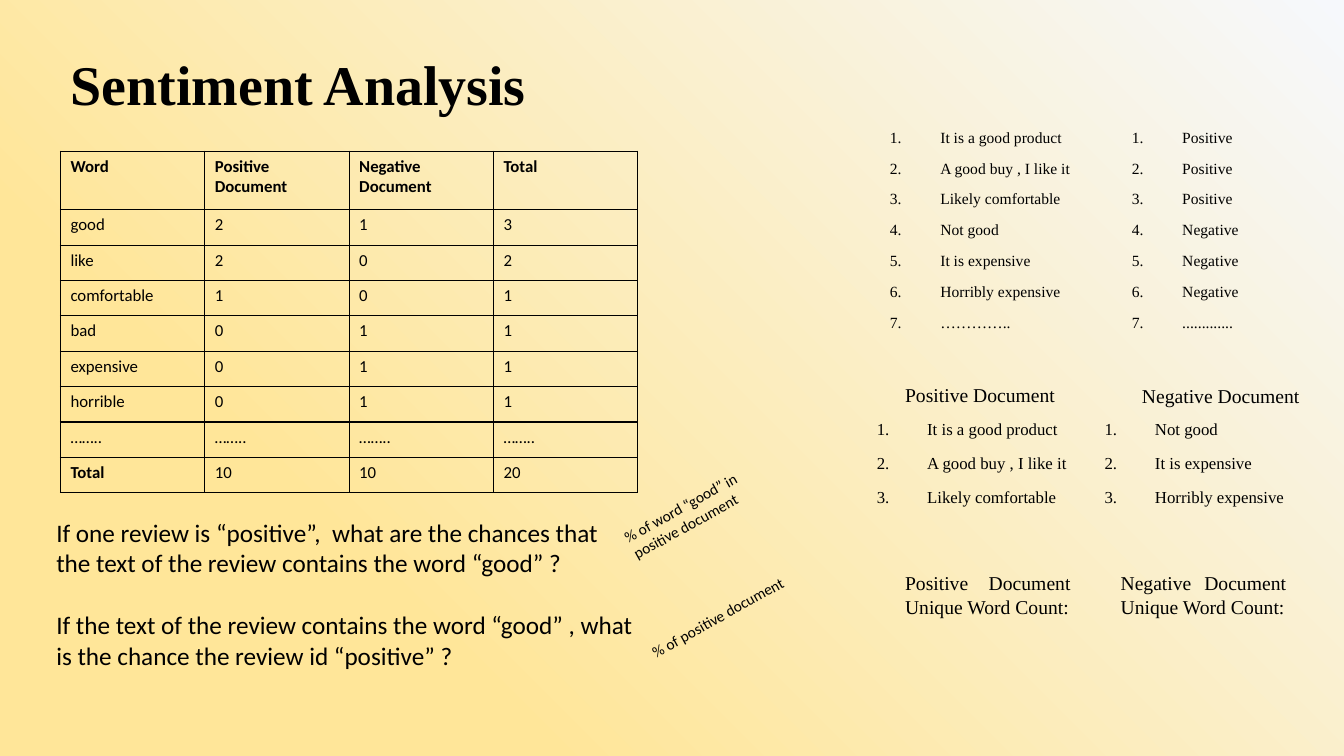
from lxml.etree import SubElement
from pptx import Presentation
from pptx.dml.color import RGBColor
from pptx.enum.text import MSO_ANCHOR, PP_ALIGN
from pptx.oxml import parse_xml
from pptx.oxml.ns import nsdecls, qn
from pptx.util import Pt

BLACK = RGBColor(0x00, 0x00, 0x00)
PALE_BLUE = RGBColor(0xF6, 0xF8, 0xFC)
YELLOW = RGBColor(0xFF, 0xE6, 0x99)
SERIF = "Times New Roman"
SANS = "Calibri"


class SlideBuilder:
    """Holds the text colour and the current slide."""

    def __init__(self, slide, color):
        self.slide = slide
        self.color = color

    def background(self, start, end):
        fill = self.slide.background.fill
        fill.gradient()
        fill.gradient_angle = 225
        for stop, color, position in zip(fill.gradient_stops, (start, end), (0, 0.74)):
            stop.color.rgb = color
            stop.position = position

    def run(self, paragraph, text, size, font, bold=False):
        run = paragraph.add_run()
        run.text = text
        run.font.size = Pt(size)
        run.font.name = font
        run.font.bold = bold
        run.font.color.rgb = self.color

    def frame(self, left, top, width, height, rotation=0):
        shape = self.slide.shapes.add_textbox(Pt(left), Pt(top), Pt(width), Pt(height))
        shape.rotation = rotation
        shape.text_frame.word_wrap = True
        return shape.text_frame

    def title(self, text, left, top, width, height):
        frame = self.frame(left, top, width, height)
        frame.vertical_anchor = MSO_ANCHOR.MIDDLE
        frame.paragraphs[0].line_spacing = 0.9
        self.run(frame.paragraphs[0], text, 40, SERIF, bold=True)

    def text(self, text, box, size, font, align=PP_ALIGN.LEFT, rotation=0):
        paragraph = self.frame(*box, rotation).paragraphs[0]
        paragraph.alignment = align
        self.run(paragraph, text, size, font)

    def numbered_list(self, items, box, size, line_spacing):
        frame = self.frame(*box)
        for index, item in enumerate(items):
            paragraph = frame.add_paragraph() if index else frame.paragraphs[0]
            properties = paragraph._p.get_or_add_pPr()
            properties.set("marL", str(Pt(36)))
            properties.set("indent", str(Pt(-36)))
            SubElement(properties, qn("a:buFont"), typeface="+mj-lt")
            SubElement(properties, qn("a:buAutoNum"), type="arabicPeriod")
            paragraph.alignment = PP_ALIGN.JUSTIFY
            paragraph.line_spacing = line_spacing
            if index:
                paragraph.space_before = Pt(10)
            self.run(paragraph, item, size, SERIF)

    def border(self, cell):
        properties = cell._tc.get_or_add_tcPr()
        for index, side in enumerate(("lnL", "lnR", "lnT", "lnB")):
            properties.insert(index, parse_xml(
                f'<a:{side} {nsdecls("a")} w="{Pt(1)}"><a:solidFill>'
                f'<a:srgbClr val="{self.color}"/></a:solidFill></a:{side}>'))

    def table(self, rows, left, top, column_width, header_height, row_height):
        columns = len(rows[0])
        height = header_height + row_height * (len(rows) - 1)
        table = self.slide.shapes.add_table(
            len(rows), columns, Pt(left), Pt(top),
            Pt(column_width * columns), Pt(height)).table
        table.first_row = table.horz_banding = False
        for column in table.columns:
            column.width = Pt(column_width)
        for row_index, values in enumerate(rows):
            table.rows[row_index].height = Pt(row_height if row_index else header_height)
            for column_index, value in enumerate(values):
                cell = table.cell(row_index, column_index)
                cell.fill.background()
                self.border(cell)
                bold = row_index == 0 or value == "Total"
                self.run(cell.text_frame.paragraphs[0], value, 12, SANS, bold)


def main():
    presentation = Presentation()
    presentation.slide_width = Pt(960)
    presentation.slide_height = Pt(540)
    slide = presentation.slides.add_slide(presentation.slide_layouts[6])
    builder = SlideBuilder(slide, BLACK)
    builder.background(PALE_BLUE, YELLOW)
    builder.title("Sentiment Analysis", 43.2, 10, 828, 104.4)

    # Reviews and their labels
    positive = ["It is a good product", "A good buy , I like it", "Likely comfortable"]
    reviews = positive + ["Not good", "It is expensive", "Horribly expensive", "………….."]
    labels = ["Positive"] * 3 + ["Negative"] * 3 + ["............."]
    builder.numbered_list(reviews, (628.6, 89.3, 182.2, 156.2), 11.1, 0.9)
    builder.numbered_list(labels, (801.4, 89.3, 125.3, 156.2), 11.1, 0.9)

    # Reviews split by class: name, reviews, heading box, list left, count left
    groups = [
        ("Positive", positive, (639.4, 270, 128.9, 24.5), 619.2, 639.4),
        ("Negative", reviews[3:6], (808.6, 270.7, 128.9, 24.5), 781.9, 793.4),
    ]
    for name, items, heading_box, list_left, count_left in groups:
        builder.numbered_list(items, (list_left, 295.2, 152.6, 80.6), 12, 1)
        builder.text(f"{name} Document", heading_box, 14, SERIF, PP_ALIGN.JUSTIFY)
        builder.text(f"{name} Document Unique Word Count:",
                     (count_left, 404.6, 132.5, 41), 14, SERIF, PP_ALIGN.JUSTIFY)

    # Word counts
    word_counts = [
        ("Word", "Positive Document", "Negative Document", "Total"),
        ("good", "2", "1", "3"),
        ("like", "2", "0", "2"),
        ("comfortable", "1", "0", "1"),
        ("bad", "0", "1", "1"),
        ("expensive", "0", "1", "1"),
        ("horrible", "0", "1", "1"),
        ("……..",) * 4,
        ("Total", "10", "10", "20"),
    ]
    builder.table(word_counts, 43.2, 108, 103.1, 41.8, 25.3)

    # Questions
    questions = [
        "If one review is “positive”,  what are the chances that the text of "
        "the review contains the word “good” ?",
        "If the text of the review contains the word “good” , what is the "
        "chance the review id “positive” ?",
    ]
    for index, question in enumerate(questions):
        builder.text(question, (33.1, 365.8 + 66.2 * index, 428.4, 51.1), 18, SANS)

    # Slanted notes
    notes = [
        ("% of word “good” in positive document", (435.6, 344.9, 131, 33.8)),
        ("% of positive document", (452.2, 427.7, 131, 20.9)),
    ]
    for note, box in notes:
        builder.text(note, box, 11, SANS, rotation=330.9)

    presentation.save("out.pptx")


if __name__ == "__main__":
    main()
